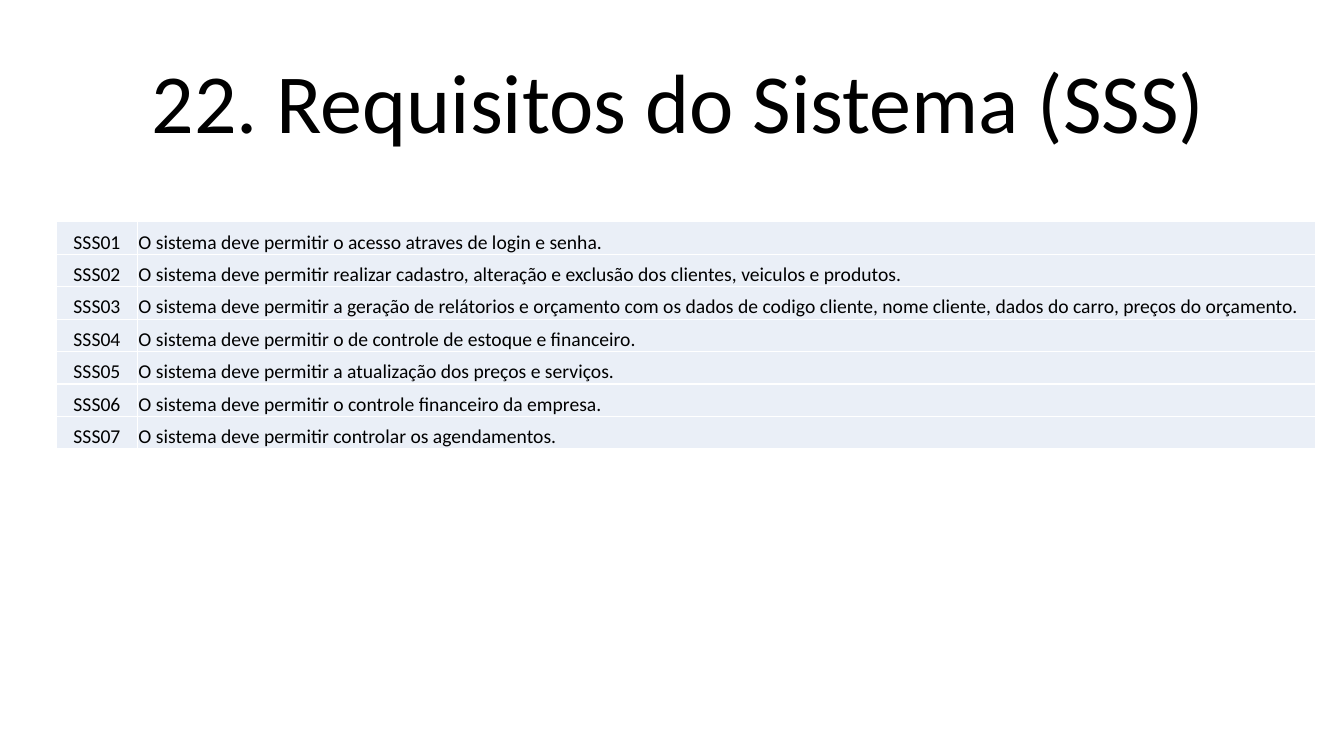
from dataclasses import dataclass

from lxml.etree import SubElement
from pptx import Presentation
from pptx.dml.color import RGBColor as Color
from pptx.enum.text import MSO_ANCHOR as Anchor, MSO_AUTO_SIZE as AutoSize, PP_ALIGN as Align
from pptx.oxml.ns import qn
from pptx.util import Cm, Pt


@dataclass(frozen=True)
class Theme:
    font: str = "Calibri"
    text: str = "000000"
    cell: str = "EAEFF7"
    border: str = "FFFFFF"
    border_width: int = 1
    title_size: int = 60
    table_size: int = 14


THEME = Theme()

REQUIREMENTS = [
    "O sistema deve permitir o acesso atraves de login e senha.",
    "O sistema deve permitir realizar cadastro, alteração e exclusão dos clientes, veiculos e produtos.",
    "O sistema deve permitir a geração de relátorios e orçamento com os dados de codigo cliente, "
    "nome cliente, dados do carro, preços do orçamento.",
    "O sistema deve permitir o de controle de estoque e financeiro.",
    "O sistema deve permitir a atualização dos preços e serviços.",
    "O sistema deve permitir o controle financeiro da empresa.",
    "O sistema deve permitir controlar os agendamentos.",
]


def add_text(paragraph, text, size, align):
    paragraph.alignment = align
    run = paragraph.add_run()
    run.text = text
    run.font.name = THEME.font
    run.font.size = Pt(size)
    run.font.color.rgb = Color.from_string(THEME.text)


def add_borders(cell):
    properties = cell._tc.get_or_add_tcPr()
    for side in ("a:lnL", "a:lnR", "a:lnT", "a:lnB"):
        line = SubElement(properties, qn(side), w=str(Pt(THEME.border_width)))
        fill = SubElement(line, qn("a:solidFill"))
        SubElement(fill, qn("a:srgbClr"), val=THEME.border)


def format_cell(cell, text, align):
    cell.vertical_anchor = Anchor.BOTTOM
    cell.margin_left = cell.margin_right = cell.margin_top = Cm(0.03)
    cell.margin_bottom = 0
    add_borders(cell)
    cell.fill.solid()
    cell.fill.fore_color.rgb = Color.from_string(THEME.cell)
    add_text(cell.text_frame.paragraphs[0], text, THEME.table_size, align)


def place_title(slide, text, left, top, width, height):
    title = slide.shapes.title
    title.left, title.top, title.width, title.height = left, top, width, height
    frame = title.text_frame
    frame.word_wrap = True
    frame.auto_size = AutoSize.NONE
    frame.vertical_anchor = Anchor.BOTTOM
    paragraph = frame.paragraphs[0]
    paragraph.line_spacing = 0.9
    add_text(paragraph, text, THEME.title_size, Align.CENTER)


def place_requirements(slide, requirements, left, top, width, height):
    code_width = Cm(2.03)
    table = slide.shapes.add_table(len(requirements), 2, left, top, width, height).table
    table.first_row = table.horz_banding = False
    table.columns[0].width = code_width
    table.columns[1].width = width - code_width
    for number, requirement in enumerate(requirements, start=1):
        code_cell, text_cell = table.rows[number - 1].cells
        format_cell(code_cell, f"SSS{number:02}", Align.CENTER)
        format_cell(text_cell, requirement, Align.LEFT)


def build_requirements_slide(presentation):
    slide = presentation.slides.add_slide(presentation.slide_layouts[5])
    # Title
    place_title(slide, "22. Requisitos do Sistema (SSS)", Cm(3.25), Cm(1.42), Cm(27.69), Cm(2.54))
    # Requirements table
    place_requirements(slide, REQUIREMENTS, Cm(1.43), Cm(5.59), Cm(31.72), Cm(5.72))


def main():
    presentation = Presentation()
    presentation.slide_width = Cm(33.87)
    presentation.slide_height = Cm(19.05)
    build_requirements_slide(presentation)
    presentation.save("out.pptx")


if __name__ == "__main__":
    main()
